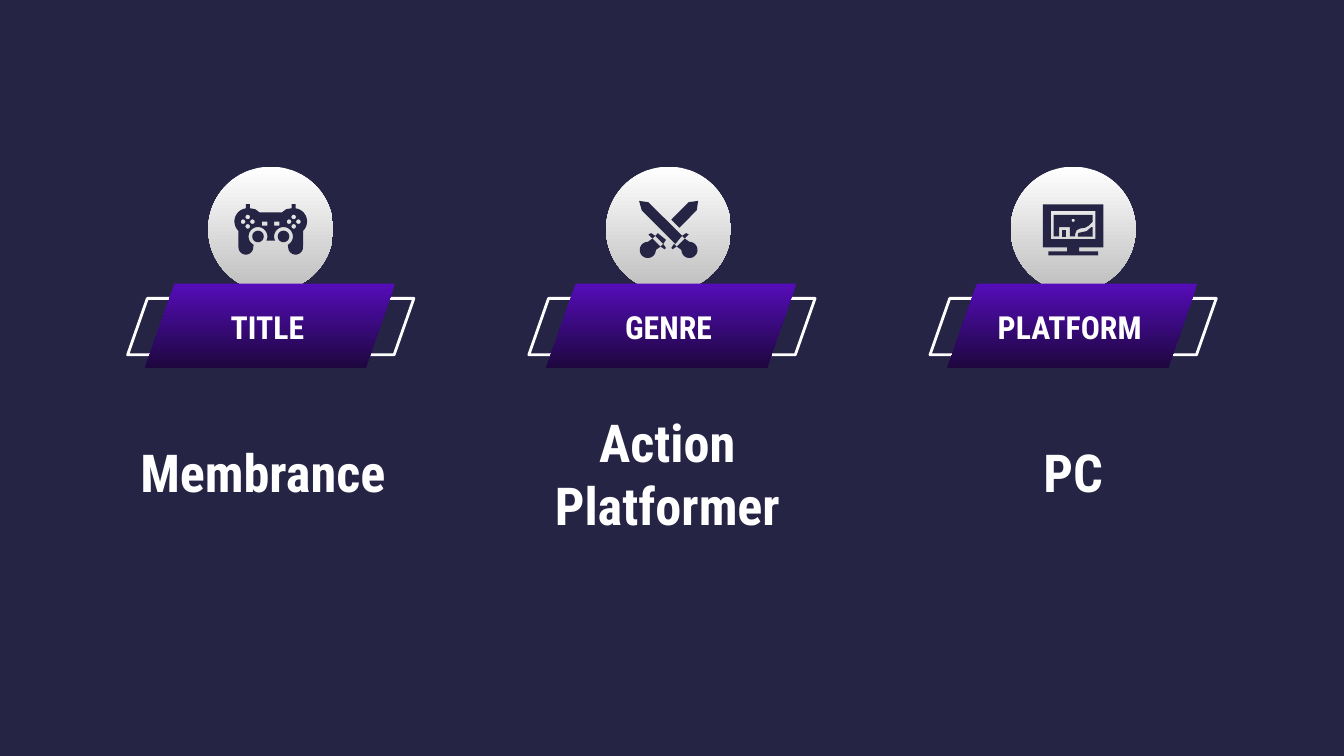
from copy import deepcopy
from dataclasses import dataclass
from math import cos, radians, sin

from pptx import Presentation
from pptx.dml.color import RGBColor
from pptx.enum.shapes import MSO_SHAPE
from pptx.enum.text import MSO_ANCHOR, MSO_AUTO_SIZE, PP_ALIGN
from pptx.util import Inches, Pt

OVAL, SLANT = MSO_SHAPE.OVAL, MSO_SHAPE.PARALLELOGRAM
MIDDLE, BOTTOM = MSO_ANCHOR.MIDDLE, MSO_ANCHOR.BOTTOM
CENTER, NO_FIT = PP_ALIGN.CENTER, MSO_AUTO_SIZE.NONE


@dataclass(frozen=True)
class Theme:
    night: str = "262444"
    white: str = "FFFFFF"
    disc: tuple = ("FFFFFF", "BEBEBE")
    banner: tuple = ("550CBA", "1D073D")
    font: str = "Roboto Condensed"
    label: int = 17
    value: int = 28


THEME = Theme()
FIRST, LAST = 0.95, 6.92   # left edges of the outer columns
DISC_TOP, DISC = 1.24, 0.93


# Outlines, in hundredths of an inch from the middle of the disc
def arc(x, y, r, start=0, end=345, count=24):
    turn = (end - start) / (count - 1)
    angles = [radians(start + turn * i) for i in range(count)]
    return [(x + r * cos(a), y + r * sin(a)) for a in angles]


def rect(x1, y1, x2, y2):
    return [(x1, y1), (x2, y1), (x2, y2), (x1, y2)]


def flip(points):
    return [(-x, y) for x, y in reversed(points)]


def pair(points):
    return [points, flip(points)]


def pad():
    half = [(8.5, -12.5), (11.5, -14.8), (15.5, -15.5), (15.5, -18.5),
            (18.5, -18.5), *arc(17.2, -5.7, 9.8, -82, 45),
            *arc(18.5, 13.5, 5.5, 0, 180), *arc(9.5, 5.5, 7, 63, -207)]
    holes = [arc(17.1 + dx, -5.5 + dy, 1.7)
             for dx, dy in ((0, -3.5), (0, 3.5), (-3.5, 0), (3.5, 0))]
    holes.append(rect(2.5, -5.5, 6.5, -2.5))
    body = [half + flip(half)]
    for hole in holes:
        body += pair(hole)
    return [body] + [[knob] for knob in pair(arc(9.5, 5.5, 4.3))]


def swords():
    front = [(-22, -21), (-20, -14), (5, 11), (10, 5), (-15, -20)]
    back = [(22, -21), (15, -20), (2, -7), (8, -1), (21, -14)]
    guard = [(-8, 3), (-10, 5), (-4, 11), (-2, 8)]
    tips = [[(-13, 3), (-15, 4), (-12, 7), (-10, 5)],
            [(-4, 11), (-6, 13), (-3, 15), (-2, 14)]]
    grip = [(-12, 7), *arc(-15.5, 15.5, 6, -90, -360), (-6, 13)]
    sides = [side for part in [*tips, grip] for side in pair(part)]
    return [[part] for part in [front, back, guard, *sides]]


def screen():
    edge = [(22.5, -18.5), (22.5, 13.5), (4.5, 13.5), (4.5, 16.5),
            (18.5, 16.5), (18.5, 19.5)]
    frame = [edge + flip(edge), rect(-16.5, -13.5, 16.5, 7.5)]
    sky = [(-14.5, -10.5), (-14.5, 5.5), (-10.5, 5.5), (-10.5, -1.5),
           (-2.5, -1.5), (-2.5, 5.5), (1.5, 5.5), (1.5, 3.5), (2.6, 0.8),
           (5.5, -0.5), (8.8, -1), (11.5, -2.5), (14.5, -5.5), (14.5, -10.5)]
    hill = [(14.5, -1.5), (13.5, -1.5), (10, 1.5), (5.5, 2.5), (4, 2.8),
            (3.5, 3.5), (3.5, 5.5), (14.5, 5.5)]
    door = rect(-8.5, 0.5, -5.5, 5.5)
    return [frame, [sky, arc(0, -6.5, 1.2)], [hill], [door]]


# Elements
def color(code):
    return RGBColor.from_string(code)


def paint(shape, fill, line=None):
    shape.shadow.inherit = False
    if isinstance(fill, tuple):
        shape.fill.gradient()
        shape.fill.gradient_angle = 270
        for stop, code in zip(shape.fill.gradient_stops, fill):
            stop.color.rgb = color(code)
    else:
        shape.fill.solid()
        shape.fill.fore_color.rgb = color(fill)
    if line:
        shape.line.color.rgb = color(line)
        shape.line.width = Pt(1.5)
    else:
        shape.line.fill.background()


def add_form(slide, kind, box, fill, line=None):
    shape = slide.shapes.add_shape(kind, *map(Inches, box))
    if kind == SLANT:
        shape.adjustments[0] = 0.35
    paint(shape, fill, line)


def add_icon(slide, x, y, parts):
    for part in parts:
        rings = [[(Inches(x + px / 100), Inches(y + py / 100))
                  for px, py in ring] for ring in part]
        pen = slide.shapes.build_freeform(*rings[0][0])
        pen.add_line_segments(rings[0][1:])
        for ring in rings[1:]:
            pen.move_to(*ring[0])
            pen.add_line_segments(ring[1:])
        paint(pen.convert_to_shape(), THEME.night)


def add_title(slide, base, box, text, size, anchor):
    node = deepcopy(base.element)
    top = max(shape.shape_id for shape in slide.shapes)
    node.nvSpPr.cNvPr.set("id", str(top + 1))
    base.element.getparent().append(node)
    shape = slide.shapes[-1]
    shape.left, shape.top, shape.width, shape.height = map(Inches, box)
    frame = shape.text_frame
    frame.text = text
    frame.word_wrap = True
    frame.auto_size = NO_FIT
    frame.vertical_anchor = anchor
    frame.margin_left = frame.margin_right = Inches(0.1)
    frame.margin_top = frame.margin_bottom = Inches(0.1)
    line = frame.paragraphs[0]
    line.alignment = CENTER
    line.font.name = THEME.font
    line.font.size = Pt(size)
    line.font.bold = True
    line.font.color.rgb = color(THEME.white)


def main():
    deck = Presentation()
    deck.slide_width = Inches(10)
    deck.slide_height = Inches(10 * 9 / 16)
    slide = deck.slides.add_slide(deck.slide_layouts[5])
    slide.background.fill.solid()
    slide.background.fill.fore_color.rgb = color(THEME.night)
    base = slide.shapes.title

    # Label, value, icon, disc left, value left and top
    cols = [
        ("TITLE", "Membrance", pad(), 1.55, 0.74, 2.78),
        ("GENRE", "Action Platformer", swords(), 4.51, 3.75, 3.03),
        ("PLATFORM", "PC", screen(), 7.52, 6.77, 2.78),
    ]
    step = (LAST - FIRST) / (len(cols) - 1)
    for i, (label, value, icon, disc, left, top) in enumerate(cols):
        x = FIRST + i * step
        # Disc and icon
        add_form(slide, OVAL, (disc, DISC_TOP, DISC, DISC), THEME.disc)
        add_icon(slide, disc + DISC / 2, DISC_TOP + DISC / 2, icon)
        # Banner
        add_form(slide, SLANT, (x, 2.22, 2.13, 0.42), THEME.night, THEME.white)
        add_form(slide, SLANT, (x + 0.13, 2.11, 1.86, 0.63), THEME.banner)
        # Texts
        add_title(slide, base, (x + 0.24, 2.22, 1.6, 0.42), label,
                  THEME.label, MIDDLE)
        add_title(slide, base, (left, top, 2.43, 1.06), value,
                  THEME.value, BOTTOM)

    # The pattern for the titles stays empty
    base.element.getparent().remove(base.element)
    deck.save("out.pptx")


if __name__ == "__main__":
    main()
